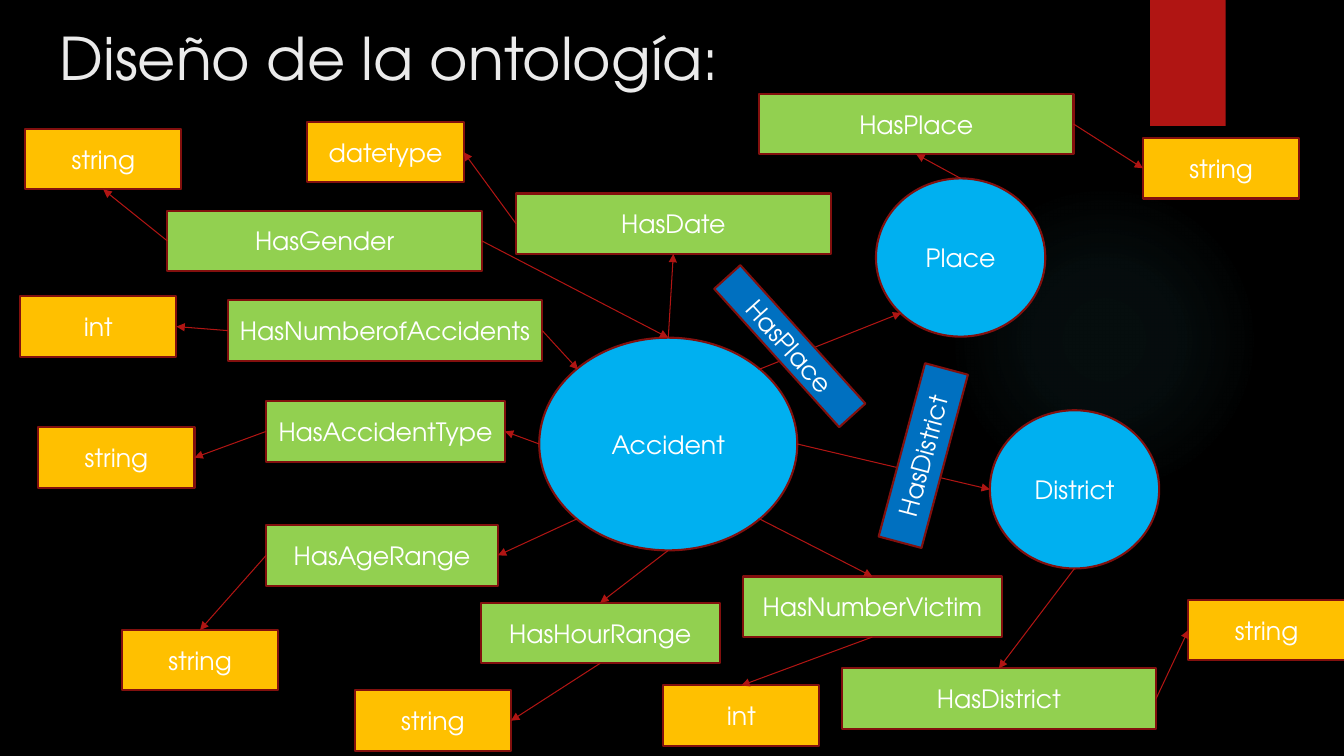
from lxml import etree
from pptx import Presentation
from pptx.dml.color import RGBColor
from pptx.enum.shapes import MSO_CONNECTOR, MSO_SHAPE
from pptx.enum.text import MSO_ANCHOR, PP_ALIGN
from pptx.oxml.ns import nsdecls, qn
from pptx.oxml import parse_xml
from pptx.util import Inches, Pt

RECT, OVAL = MSO_SHAPE.RECTANGLE, MSO_SHAPE.OVAL
STRAIGHT = MSO_CONNECTOR.STRAIGHT
MIDDLE, TOP = MSO_ANCHOR.MIDDLE, MSO_ANCHOR.TOP
CENTER, LEFT = PP_ALIGN.CENTER, PP_ALIGN.LEFT

FONT = "TeX Gyre Adventor"
COLORS = {
    "background": "000000", "title": "EBEBEB", "text": "FFFFFF",
    "class": "00B0F0", "property": "92D050", "type": "FFC000",
    "relation": "0070C0", "outline": "82100E", "accent": "B01513",
    "glow": "50B9C1",
}
RGB = {name: RGBColor.from_string(value) for name, value in COLORS.items()}

# The slide is a grid of 40 columns and 22.5 rows of square cells
prs = Presentation()
prs.slide_width, prs.slide_height = Inches(40 / 3), Inches(7.5)
CELL = prs.slide_width / 40
BOX_H, TYPE_W = 1.8, 4.65
CLASS_W, CLASS_H = 5.04, 4.71

# Points on a shape as shares of its width and height
SIDES = ["top", "left", "bottom", "right"]
POINTS = {
    "top": (0.5, 0), "left": (0, 0.5), "bottom": (0.5, 1), "right": (1, 0.5),
    "top left": (0.15, 0.15), "top right": (0.85, 0.15),
    "bottom left": (0.15, 0.85), "bottom right": (0.85, 0.85),
}

# name: column, row, width, height
CLASSES = {
    "Accident": (16.05, 10.05, 7.68, 6.33),
    "Place": (26.07, 5.31, CLASS_W, CLASS_H),
    "District": (29.46, 12.21, CLASS_W, CLASS_H),
}
# class, its point, property, its place and width, side to the class,
# side to the type, type, its place, its side, arrow runs to the class
PROPERTIES = [
    ("Accident", "top left", "HasNumberofAccidents", 6.78, 8.94, 9.36,
     "right", "left", "int", 0.6, 8.82, "right", True),
    ("Accident", "left", "HasAccidentType", 7.92, 11.94, 7.11,
     "right", "left", "string", 1.14, 12.72, "right", False),
    ("Accident", "bottom left", "HasAgeRange", 7.92, 15.63, 6.9,
     "right", "left", "string", 3.63, 18.75, "top", False),
    ("Place", "top", "HasPlace", 22.59, 2.79, 9.36,
     "bottom", "right", "string", 34.02, 4.11, "left", False),
    ("District", "bottom", "HasDistrict", 25.05, 19.89, 9.36,
     "top", "right", "string", 35.37, 17.85, "left", False),
    ("Accident", "bottom", "HasHourRange", 14.31, 17.94, 7.11,
     "top", "bottom", "string", 10.56, 20.55, "right", False),
    ("Accident", "top", "HasDate", 15.36, 5.76, 9.36,
     "bottom", "left", "datetype", 9.15, 3.63, "right", False),
    ("Accident", "bottom right", "HasNumberVictim", 22.11, 17.16, 7.71,
     "top", "bottom", "int", 19.74, 20.4, "top", False),
    ("Accident", "top", "HasGender", 4.98, 6.27, 9.36,
     "right", "left", "string", 0.75, 3.84, "bottom", True),
]
# class point, target class, its point, label, label place and size, rotation
RELATIONS = [
    ("right", "District", "left", "HasDistrict", (24.81, 12.9, 5.34, 1.32), 285),
    ("top right", "Place", "bottom left", "HasPlace", (20.73, 9.78, 5.55, 1.05), 47.9),
]

slide = prs.slides.add_slide(prs.slide_layouts[5])
slide.background.fill.solid()
slide.background.fill.fore_color.rgb = RGB["background"]


def add_node(kind, place, color, text=""):
    sp = slide.shapes.add_shape(kind, *(round(v * CELL) for v in place))
    sp.shadow.inherit = False
    sp.fill.solid()
    sp.fill.fore_color.rgb = RGB[color]
    if not text:
        sp.line.fill.background()
        return sp
    sp.line.color.rgb, sp.line.width = RGB["outline"], Pt(1.5)
    tf = sp.text_frame
    tf.word_wrap, tf.vertical_anchor = False, MIDDLE
    p = tf.paragraphs[0]
    p.text, p.alignment = text, CENTER
    for key, value in {"name": FONT, "size": Pt(18)}.items():
        setattr(p.font, key, value)
    p.font.color.rgb = RGB["text"]
    return sp


def add_arrow(start, start_point, end, end_point):
    """Join two shapes; rectangle sides get a glued end."""
    ends = []
    for sp, point in ((start, start_point), (end, end_point)):
        dx, dy = POINTS[point]
        ends += [round(sp.left + dx * sp.width), round(sp.top + dy * sp.height)]
    c = slide.shapes.add_connector(STRAIGHT, *ends)
    if start.auto_shape_type == RECT:
        c.begin_connect(start, SIDES.index(start_point))
    if end.auto_shape_type == RECT:
        c.end_connect(end, SIDES.index(end_point))
    c.line.color.rgb, c.line.width = RGB["accent"], Pt(0.75)
    spPr = c.element.spPr
    etree.SubElement(spPr.find(qn("a:ln")), qn("a:tailEnd"), type="triangle")
    etree.SubElement(spPr, qn("a:effectLst"))


# Backdrop: soft round glow and the red tab
glow = add_node(OVAL, (28.23, 5.49, 9.24, 9.24), "glow")
stops = "".join(
    f'<a:gs pos="{pos * 1000}"><a:srgbClr val="{COLORS["glow"]}">'
    f'<a:alpha val="{alpha * 1000}"/></a:srgbClr></a:gs>'
    for pos, alpha in ((0, 7), (36, 6), (69, 0)))
gradient = parse_xml(
    f'<a:gradFill {nsdecls("a")}><a:gsLst>{stops}</a:gsLst><a:path path="circle">'
    '<a:fillToRect l="50000" t="50000" r="50000" b="50000"/></a:path></a:gradFill>')
spPr = glow.element.spPr
spPr.replace(spPr.find(qn("a:solidFill")), gradient)
add_node(RECT, (34.23, 0, 2.25, 3.75), "accent")

title = slide.shapes.title
for key, value in {"left": 1.47, "top": 0.51, "width": 30.87, "height": 4.59}.items():
    setattr(title, key, round(value * CELL))
title.text_frame.vertical_anchor = TOP
p = title.text_frame.paragraphs[0]
p.text, p.alignment = "Diseño de la ontología:", LEFT
for key, value in {"name": FONT, "size": Pt(42)}.items():
    setattr(p.font, key, value)
p.font.color.rgb = RGB["title"]

classes = {name: add_node(OVAL, place, "class", name) for name, place in CLASSES.items()}

for (owner, owner_point, name, x, y, w, class_side, type_side,
     type_name, type_x, type_y, type_point, to_class) in PROPERTIES:
    prop = add_node(RECT, (x, y, w, BOX_H), "property", name)
    data_type = add_node(RECT, (type_x, type_y, TYPE_W, BOX_H), "type", type_name)
    link = [(classes[owner], owner_point), (prop, class_side)]
    if to_class:
        link.reverse()
    add_arrow(*link[0], *link[1])
    add_arrow(prop, type_side, data_type, type_point)

for point, target, target_point, name, place, rotation in RELATIONS:
    add_arrow(classes["Accident"], point, classes[target], target_point)
    add_node(RECT, place, "relation", name).rotation = rotation

prs.save("out.pptx")
